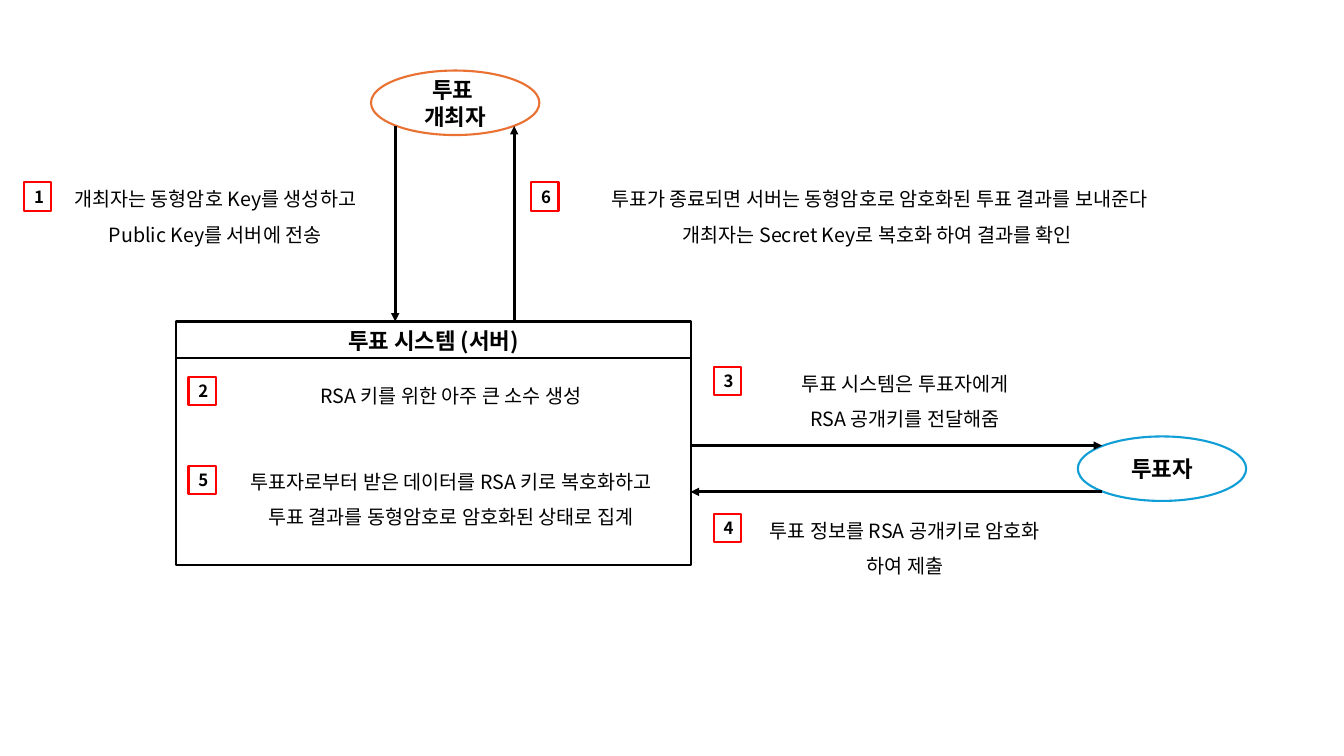
from lxml import etree
from pptx import Presentation
from pptx import util as u
from pptx.dml.color import RGBColor
from pptx.enum import shapes, text
from pptx.oxml.ns import qn

BLACK = RGBColor(0x00, 0x00, 0x00)
WHITE = RGBColor(0xFF, 0xFF, 0xFF)
RED = RGBColor(0xFF, 0x00, 0x00)
ORANGE = RGBColor(0xE9, 0x71, 0x32)
BLUE = RGBColor(0x0F, 0x9E, 0xD5)


class Diagram:
    """Draws on one slide; lengths are cells of a grid of tenths of an inch."""

    CELL = u.Inches(0.1)
    FONT = "Noto Sans CJK KR"
    TITLE, BODY, NUMBER = 16, 14, 12
    BADGE_W, BADGE_H = 2.7, 2.8

    def __init__(self, slide):
        self.slide = slide

    def grid(self, *cells):
        return [round(c * self.CELL) for c in cells]

    def box(self, area, lines=(), size=TITLE, bold=True, outline=BLACK,
            kind=shapes.MSO_SHAPE.RECTANGLE, spacing=None):
        sp = self.slide.shapes.add_shape(kind, *self.grid(*area))
        sp.shadow.inherit = False
        sp.fill.solid()
        sp.fill.fore_color.rgb = WHITE
        if outline is None:
            sp.line.fill.background()
        else:
            sp.line.color.rgb = outline
            sp.line.width = u.Pt(1.5)
        tf = sp.text_frame
        tf.word_wrap = True
        tf.vertical_anchor = text.MSO_ANCHOR.MIDDLE
        for i, line in enumerate(lines):
            p = tf.add_paragraph() if i else tf.paragraphs[0]
            p.text = line
            p.alignment = text.PP_ALIGN.CENTER
            p.line_spacing = spacing
            self.style(p, size, bold)

    def style(self, p, size, bold):
        p.font.size = u.Pt(size)
        p.font.bold = bold
        p.font.color.rgb = BLACK
        p.font.name = self.FONT
        # Korean letters take their typeface from a:ea
        props = p._p.pPr.find(qn("a:defRPr"))
        etree.SubElement(props, qn("a:ea"), typeface=self.FONT)

    def actor(self, left, top, lines, outline):
        self.box((left, top, 16.7, 6.4), lines, outline=outline,
                 kind=shapes.MSO_SHAPE.OVAL)

    def step(self, number, left, top, width, height, lines, drop=1.3):
        """A caption with its numbered badge on the left, drop cells lower."""
        self.box((left + self.BADGE_W, top, width, height), lines, self.BODY,
                 bold=False, outline=None, spacing=1.5)
        self.box((left, top + drop, self.BADGE_W, self.BADGE_H),
                 [str(number)], self.NUMBER, outline=RED)

    def arrow(self, *ends):
        line = self.slide.shapes.add_connector(
            shapes.MSO_CONNECTOR.STRAIGHT, *self.grid(*ends))
        line.line.color.rgb = BLACK
        line.line.width = u.Pt(2)
        etree.SubElement(line.line._get_or_add_ln(), qn("a:tailEnd"),
                         type="triangle")
        etree.SubElement(line._element.spPr, qn("a:effectLst"))


def main():
    prs = Presentation()
    prs.slide_width, prs.slide_height = u.Inches(13.33), u.Inches(7.5)
    d = Diagram(prs.slides.add_slide(prs.slide_layouts[6]))

    d.actor(36.8, 7, ["투표 ", "개최자"], ORANGE)
    d.actor(106.9, 43.3, ["투표자"], BLUE)

    server_left, server_top, server_width = 17.5, 31.9, 51
    server_right = server_left + server_width
    d.box((server_left, server_top, server_width, 3.7), ["투표 시스템 (서버)"])
    d.box((server_left, 35.5, server_width, 20.6))

    host_bottom, voter_left = 12.5, 109.3
    d.arrow(39.2, host_bottom, 39.2, server_top)
    d.arrow(51, server_top, 51, host_bottom)
    d.arrow(server_right, 44.2, voter_left, 44.2)
    d.arrow(voter_left, 48.8, server_right, 48.8)

    d.step(1, 2.4, 16.8, 32.5, 8.2,
           ["개최자는 동형암호 Key를 생성하고", "Public Key를 서버에 전송"])
    d.step(2, 18.7, 36.6, 46.7, 4.1,
           ["RSA 키를 위한 아주 큰 소수 생성"], drop=0.8)
    d.step(3, 70.8, 35.1, 32.5, 8.2,
           ["투표 시스템은 투표자에게", "RSA 공개키를 전달해줌"])
    d.step(4, 70.8, 49.7, 32.5, 8.2,
           ["투표 정보를 RSA 공개키로 암호화 하여 제출"])
    d.step(5, 18.7, 45.4, 46.7, 7.1,
           ["투표자로부터 받은 데이터를 RSA 키로 복호화하고",
            "투표 결과를 동형암호로 암호화된 상태로 집계"], drop=0.8)
    d.step(6, 52.7, 16.8, 63.7, 8.2,
           ["투표가 종료되면 서버는 동형암호로 암호화된 투표 결과를 보내준다",
            "개최자는 Secret Key로 복호화 하여 결과를 확인 "])

    prs.save("out.pptx")


if __name__ == "__main__":
    main()
